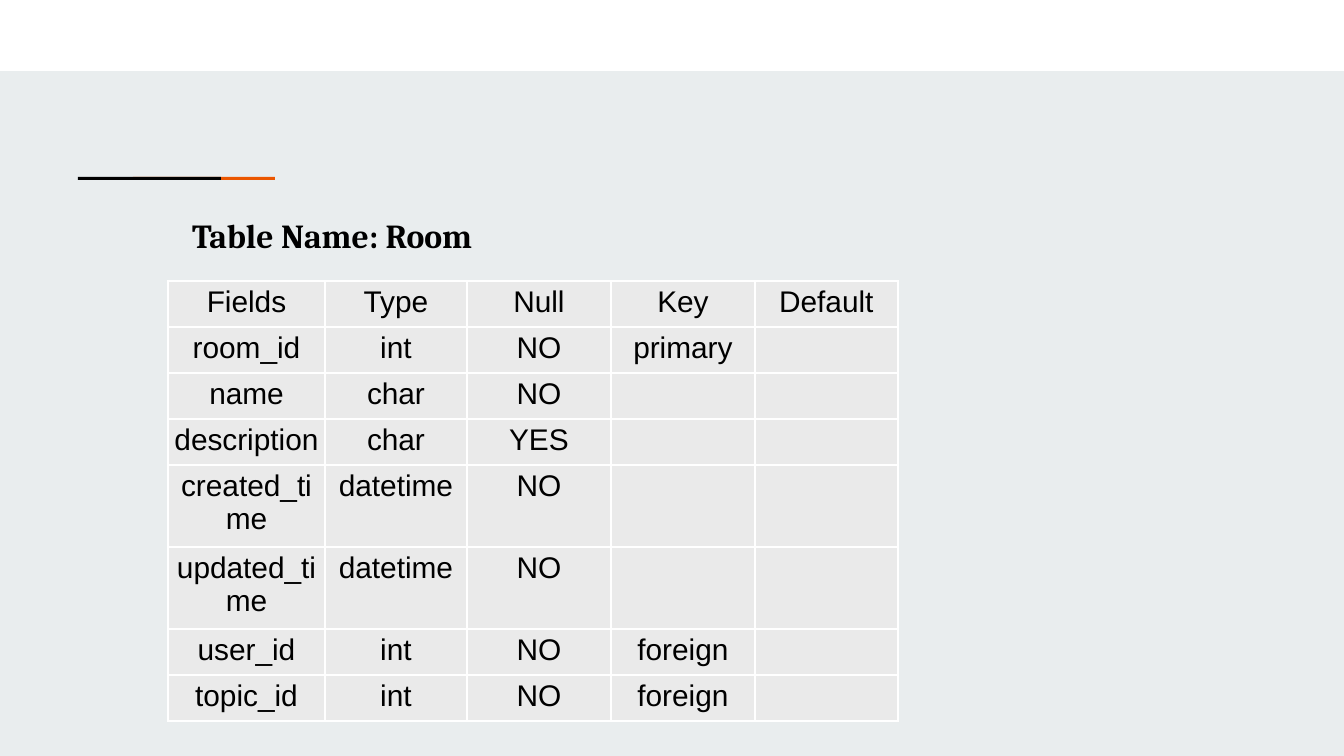
from typing import NamedTuple

from lxml import etree
from pptx import Presentation
from pptx.dml.color import RGBColor
from pptx.enum.shapes import MSO_SHAPE
from pptx.enum.text import MSO_AUTO_SIZE, PP_ALIGN
from pptx.oxml.ns import qn
from pptx.util import Emu, Pt

RECTANGLE = MSO_SHAPE.RECTANGLE
CENTER = PP_ALIGN.CENTER
FIT_SHAPE = MSO_AUTO_SIZE.SHAPE_TO_FIT_TEXT

WHITE = RGBColor(0xFF, 0xFF, 0xFF)
BLACK = RGBColor(0x00, 0x00, 0x00)
ORANGE = RGBColor(0xEB, 0x56, 0x00)
BACKGROUND = RGBColor(0xE9, 0xED, 0xEE)
CELL_GRAY = RGBColor(0xEA, 0xEA, 0xEA)

EMU_PER_PIXEL = 914400 / 134.4
CELL_MARGIN = 5
TABLE_LEFT, TABLE_TOP = 168, 281
SINGLE_LINE, DOUBLE_LINE = 46, 82
COLUMN_WIDTHS = (157, 142, 144, 144, 143)


class Bar(NamedTuple):
    left: int
    top: int
    width: int
    height: int
    color: RGBColor


class Field(NamedTuple):
    name: str
    type: str
    null: str
    key: str = ""
    default: str = ""


BARS = (
    Bar(0, 0, 1344, 71, WHITE),
    Bar(133, 177, 142, 3, ORANGE),
    Bar(78, 177, 143, 3, BLACK),
)

FIELDS = (
    Field("Fields", "Type", "Null", "Key", "Default"),
    Field("room_id", "int", "NO", "primary"),
    Field("name", "char", "NO"),
    Field("description", "char", "YES"),
    Field("created_time", "datetime", "NO"),
    Field("updated_time", "datetime", "NO"),
    Field("user_id", "int", "NO", "foreign"),
    Field("topic_id", "int", "NO", "foreign"),
)


def pixels(value: int) -> Emu:
    return Emu(round(value * EMU_PER_PIXEL))


def set_font(paragraph, name: str, size: int, bold: bool) -> None:
    font = paragraph.font
    font.name = name
    font.size = Pt(size)
    font.bold = bold
    font.color.rgb = BLACK


def add_bar(slide, bar: Bar) -> None:
    shape = slide.shapes.add_shape(RECTANGLE, *map(pixels, bar[:4]))
    shape.shadow.inherit = False
    shape.fill.solid()
    shape.fill.fore_color.rgb = bar.color
    shape.line.fill.background()


def add_title(slide, text: str) -> None:
    box = slide.shapes.add_textbox(*map(pixels, (179, 188, 672, 67)))
    frame = box.text_frame
    frame.word_wrap = True
    frame.auto_size = FIT_SHAPE
    paragraph = frame.paragraphs[0]
    paragraph.text = text
    paragraph.line_spacing = 1.5
    paragraph.space_before = Pt(11.8)
    set_font(paragraph, "Cambria", 18, True)


def add_borders(cell) -> None:
    properties = cell._tc.get_or_add_tcPr()
    for position, side in enumerate(("lnL", "lnR", "lnT", "lnB")):
        line = etree.Element(qn(f"a:{side}"), w=str(Pt(1)))
        fill = etree.SubElement(line, qn("a:solidFill"))
        etree.SubElement(fill, qn("a:srgbClr"), val=str(WHITE))
        properties.insert(position, line)


def fill_cell(cell, text: str) -> None:
    cell.margin_left = cell.margin_right = pixels(CELL_MARGIN)
    cell.margin_top = cell.margin_bottom = pixels(CELL_MARGIN)
    cell.fill.solid()
    cell.fill.fore_color.rgb = CELL_GRAY
    add_borders(cell)
    paragraph = cell.text_frame.paragraphs[0]
    paragraph.alignment = CENTER
    set_font(paragraph, "Arial", 16, False)
    if text:
        paragraph.text = text
    else:
        etree.SubElement(paragraph._p, qn("a:endParaRPr"), sz="1600")


def add_field_table(slide) -> None:
    heights = [
        DOUBLE_LINE if field.name.endswith("_time") else SINGLE_LINE
        for field in FIELDS
    ]
    bounds = (TABLE_LEFT, TABLE_TOP, sum(COLUMN_WIDTHS), sum(heights))
    table = slide.shapes.add_table(
        len(FIELDS), len(COLUMN_WIDTHS), *map(pixels, bounds)
    ).table
    table.first_row = False
    table.horz_banding = False
    for column, width in zip(table.columns, COLUMN_WIDTHS):
        column.width = pixels(width)
    for row, height, field in zip(table.rows, heights, FIELDS):
        row.height = pixels(height)
        for cell, text in zip(row.cells, field):
            fill_cell(cell, text)


def main() -> None:
    presentation = Presentation()
    presentation.slide_width = pixels(1344)
    presentation.slide_height = pixels(756)
    slide = presentation.slides.add_slide(presentation.slide_layouts[6])
    slide.background.fill.solid()
    slide.background.fill.fore_color.rgb = BACKGROUND
    for bar in BARS:
        add_bar(slide, bar)
    add_title(slide, "Table Name: Room")
    add_field_table(slide)
    presentation.save("out.pptx")


main()
